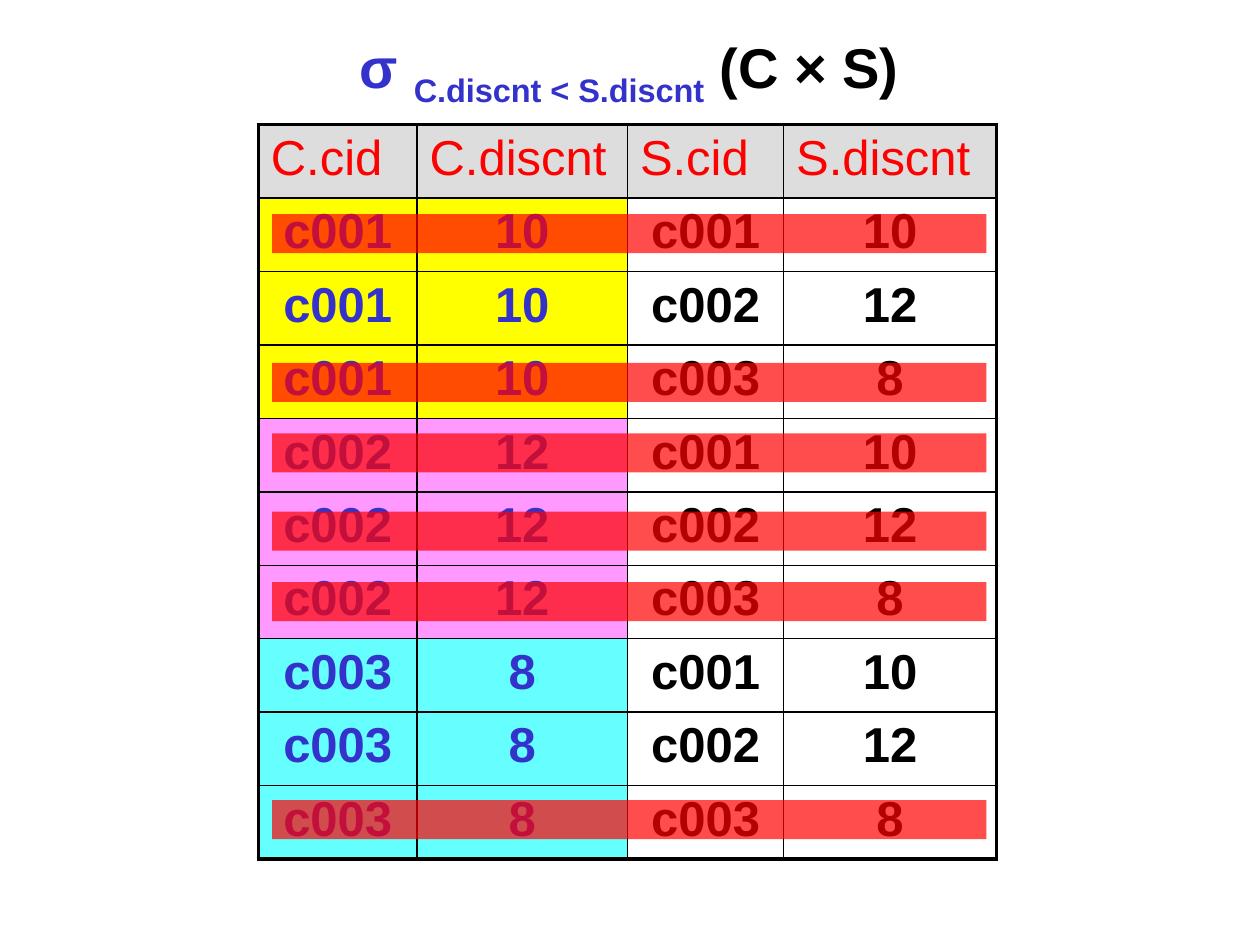
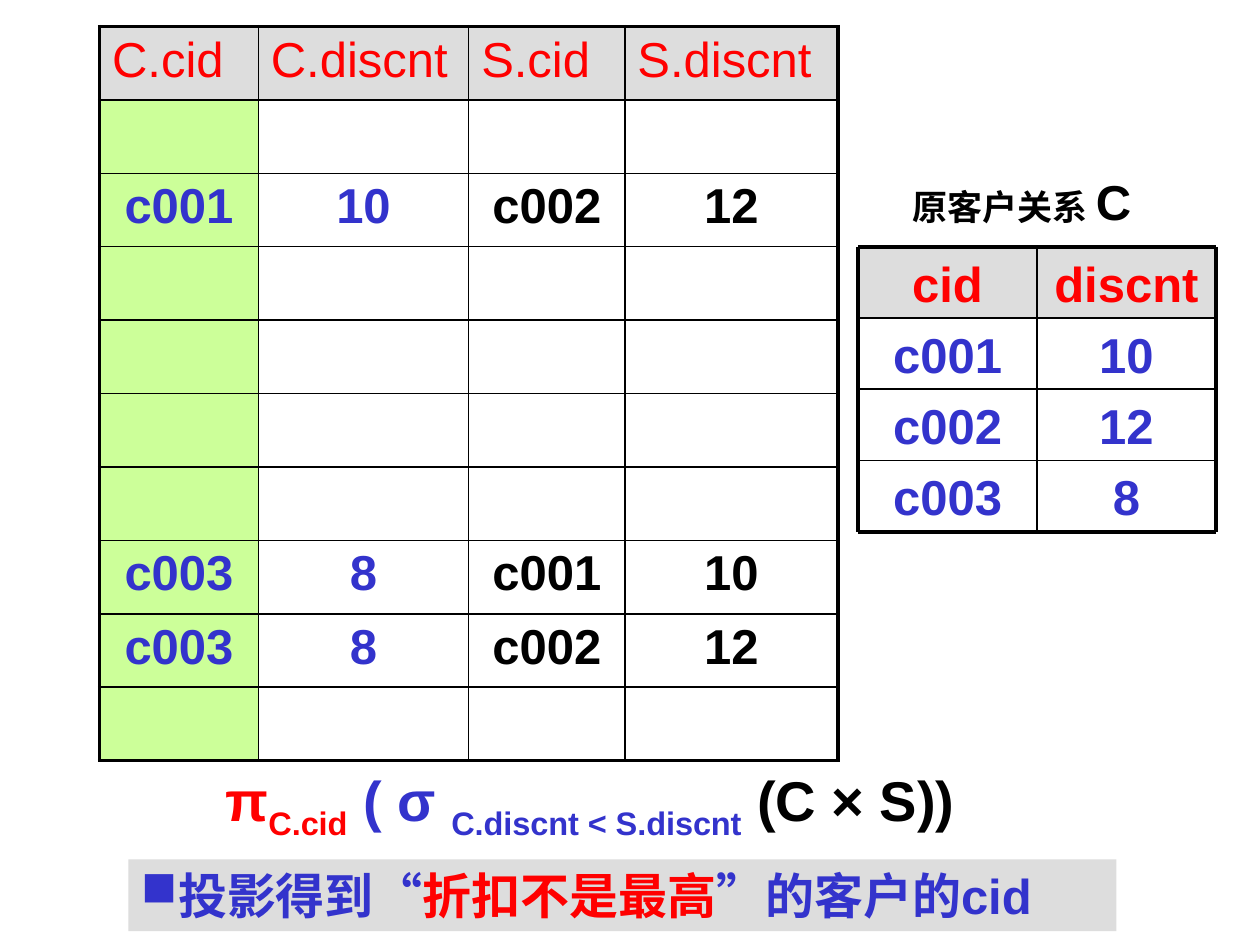
from itertools import product

from lxml.etree import SubElement
from pptx import Presentation
from pptx.dml.color import RGBColor
from pptx.enum.shapes import MSO_CONNECTOR, MSO_SHAPE
from pptx.enum.text import MSO_AUTO_SIZE, PP_ALIGN
from pptx.oxml import parse_xml
from pptx.oxml.ns import nsdecls, qn
from pptx.util import Inches, Pt

BLACK = RGBColor(0x00, 0x00, 0x00)
WHITE = RGBColor(0xFF, 0xFF, 0xFF)
RED = RGBColor(0xFF, 0x00, 0x00)
BLUE = RGBColor(0x33, 0x33, 0xCC)
GREY = RGBColor(0xDD, 0xDD, 0xDD)
YELLOW = RGBColor(0xFF, 0xFF, 0x00)
PINK = RGBColor(0xFF, 0x99, 0xFF)
CYAN = RGBColor(0x66, 0xFF, 0xFF)
GREEN = RGBColor(0xCC, 0xFF, 0x99)

FONT = "Arial"
TABLE_SIZE, FORMULA_SIZE = 28, 32
OUTER, INNER = 2.25, 1

CUSTOMERS = [("c001", 10), ("c002", 12), ("c003", 8)]
GROUP_FILLS = {"c001": YELLOW, "c002": PINK, "c003": CYAN}
PAIRS = [c + s for c, s in product(CUSTOMERS, CUSTOMERS)]
PAIR_HEADERS = ["C.cid", "C.discnt", "S.cid", "S.discnt"]
PAIR_WIDTHS = [1.26, 1.67, 1.24, 1.69]
PAIR_HEIGHT = 5.83
PAIR_COLORS = [BLUE, BLUE, BLACK, BLACK]
STRIKE_TOPS = [1.7, 2.88, 3.44, 4.06, 4.62, 6.35]

CONDITION = ("C.discnt < S.discnt", BLUE, FORMULA_SIZE, True)


def add_run(p, text, color, size, subscript=False, bold=True):
    r = p.add_run()
    r.text = text
    r.font.name = FONT
    r.font.size = Pt(size)
    r.font.bold = bold
    r.font.color.rgb = color
    if subscript:
        r.font._element.set("baseline", "-25000")


def add_text(slide, left, top, width, height, runs, fill=None, bullet=None, grow=True):
    sp = slide.shapes.add_textbox(Inches(left), Inches(top), Inches(width), Inches(height))
    if fill is not None:
        sp.fill.solid()
        sp.fill.fore_color.rgb = fill
    tf = sp.text_frame
    tf.word_wrap = True
    if grow:
        tf.auto_size = MSO_AUTO_SIZE.SHAPE_TO_FIT_TEXT
    p = tf.paragraphs[0]
    if bullet:
        pPr = p._p.get_or_add_pPr()
        SubElement(pPr, qn("a:buFont"), typeface="Wingdings")
        SubElement(pPr, qn("a:buChar"), char=bullet)
    else:
        p.alignment = PP_ALIGN.CENTER
    for run in runs:
        add_run(p, *run)


def set_borders(cell, **widths):
    tcPr = cell._tc.get_or_add_tcPr()
    for i, side in enumerate("LRTB"):
        tcPr.insert(i, parse_xml(
            f'<a:ln{side} {nsdecls("a")} w="{Pt(widths[side])}">'
            f'<a:solidFill><a:srgbClr val="{BLACK}"/></a:solidFill></a:ln{side}>'))


def fill_cell(cell, text, color, fill, bold, align):
    cell.fill.solid()
    cell.fill.fore_color.rgb = fill
    p = cell.text_frame.paragraphs[0]
    p.alignment = align
    if text != "":
        add_run(p, str(text), color, TABLE_SIZE, bold=bold)


def add_pair_table(slide, left, top, rows, fills):
    n_rows, n_cols = len(rows) + 1, len(PAIR_WIDTHS)
    table = slide.shapes.add_table(
        n_rows, n_cols, Inches(left), Inches(top),
        Inches(sum(PAIR_WIDTHS)), Inches(PAIR_HEIGHT)).table
    table.first_row = table.horz_banding = False
    for column, width in zip(table.columns, PAIR_WIDTHS):
        column.width = Inches(width)
    for i, values in enumerate([PAIR_HEADERS] + rows):
        table.rows[i].height = Inches(PAIR_HEIGHT / n_rows)
        for j, value in enumerate(values):
            cell = table.cell(i, j)
            if i == 0:
                fill_cell(cell, value, RED, GREY, False, PP_ALIGN.LEFT)
            else:
                fill_cell(cell, value, PAIR_COLORS[j], fills[i - 1][j], True, PP_ALIGN.CENTER)
            set_borders(cell,
                        L=OUTER if j == 0 else INNER,
                        R=OUTER if j == n_cols - 1 else INNER,
                        T=OUTER if i == 0 else INNER,
                        B=OUTER if i == n_rows - 1 else INNER)


def add_line(slide, x1, y1, x2, y2, weight):
    line = slide.shapes.add_connector(
        MSO_CONNECTOR.STRAIGHT, Inches(x1), Inches(y1), Inches(x2), Inches(y2))
    line.line.color.rgb = BLACK
    line.line.width = Pt(weight)
    SubElement(line._element.spPr, qn("a:effectLst"))


def add_customer_grid(slide, left, top, width, height):
    rows = [("cid", "discnt")] + CUSTOMERS
    n_rows, n_cols = len(rows), len(rows[0])
    right, bottom = left + n_cols * width, top + n_rows * height
    for i, values in enumerate(rows):
        color, fill = (RED, GREY) if i == 0 else (BLUE, None)
        for j, value in enumerate(values):
            add_text(slide, left + j * width, top + i * height, width, height,
                     [(str(value), color, TABLE_SIZE)], fill=fill, grow=False)
    for i in range(n_rows + 1):
        y = top + i * height
        add_line(slide, left, y, right, y, OUTER if i in (0, n_rows) else INNER)
    for j in range(n_cols + 1):
        x = left + j * width
        add_line(slide, x, top, x, bottom, OUTER if j in (0, n_cols) else INNER)


def add_strike(slide, top):
    sp = slide.shapes.add_shape(MSO_SHAPE.RECTANGLE, Inches(2.16), Inches(top),
                                Inches(5.67), Inches(0.31))
    sp.shadow.inherit = False
    sp.line.fill.background()
    sp.fill.solid()
    sp.fill.fore_color.rgb = RED
    color = sp._element.spPr.find(qn("a:solidFill"))[0]
    SubElement(color, qn("a:alpha"), val="70000")


def build_selection(slide):
    fills = [[GROUP_FILLS[pair[0]]] * 2 + [WHITE] * 2 for pair in PAIRS]
    add_pair_table(slide, 2.05, 0.99, PAIRS, fills)
    add_text(slide, 1.69, 0.21, 6.61, 0.63, [
        ("σ ", BLUE, FORMULA_SIZE), CONDITION, (" (C × S)", BLACK, FORMULA_SIZE)])
    for top in STRIKE_TOPS:
        add_strike(slide, top)


def build_projection(slide):
    kept = [pair if pair[1] < pair[3] else [""] * 4 for pair in PAIRS]
    add_pair_table(slide, 0.79, 0.21, kept, [[GREEN] + [WHITE] * 3] * len(kept))
    add_text(slide, 1.22, 6.03, 6.93, 0.63, [
        ("π", RED, FORMULA_SIZE), ("C.cid", RED, FORMULA_SIZE, True),
        (" ( σ ", BLUE, FORMULA_SIZE), CONDITION, (" (C × S))", BLACK, FORMULA_SIZE)])
    add_text(slide, 6.81, 1.31, 2.6, 0.57, [
        ("原客户关系 ", BLACK, 20), ("C", BLACK, TABLE_SIZE)], fill=WHITE)
    add_customer_grid(slide, 6.81, 1.96, 1.42, 0.565)
    add_text(slide, 1.02, 6.82, 7.84, 0.57, [
        ("投影得到“", BLUE, TABLE_SIZE), ("折扣不是最高", RED, TABLE_SIZE),
        ("”的客户的cid", BLUE, TABLE_SIZE)], fill=GREY, bullet="n")


def main():
    prs = Presentation()
    prs.slide_width, prs.slide_height = Inches(10), Inches(7.5)
    for build in (build_selection, build_projection):
        build(prs.slides.add_slide(prs.slide_layouts[6]))
    prs.save("out.pptx")


if __name__ == "__main__":
    main()
